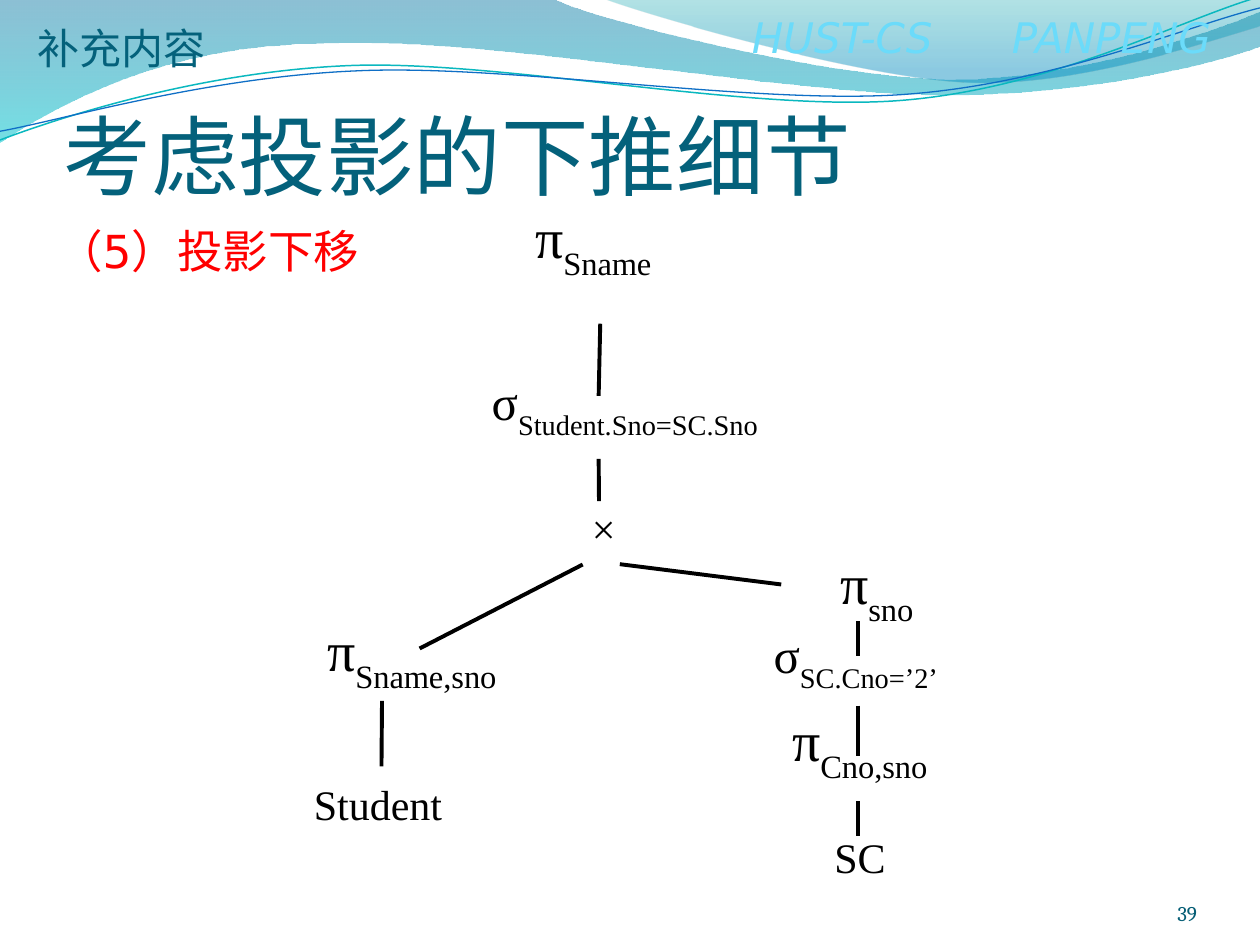
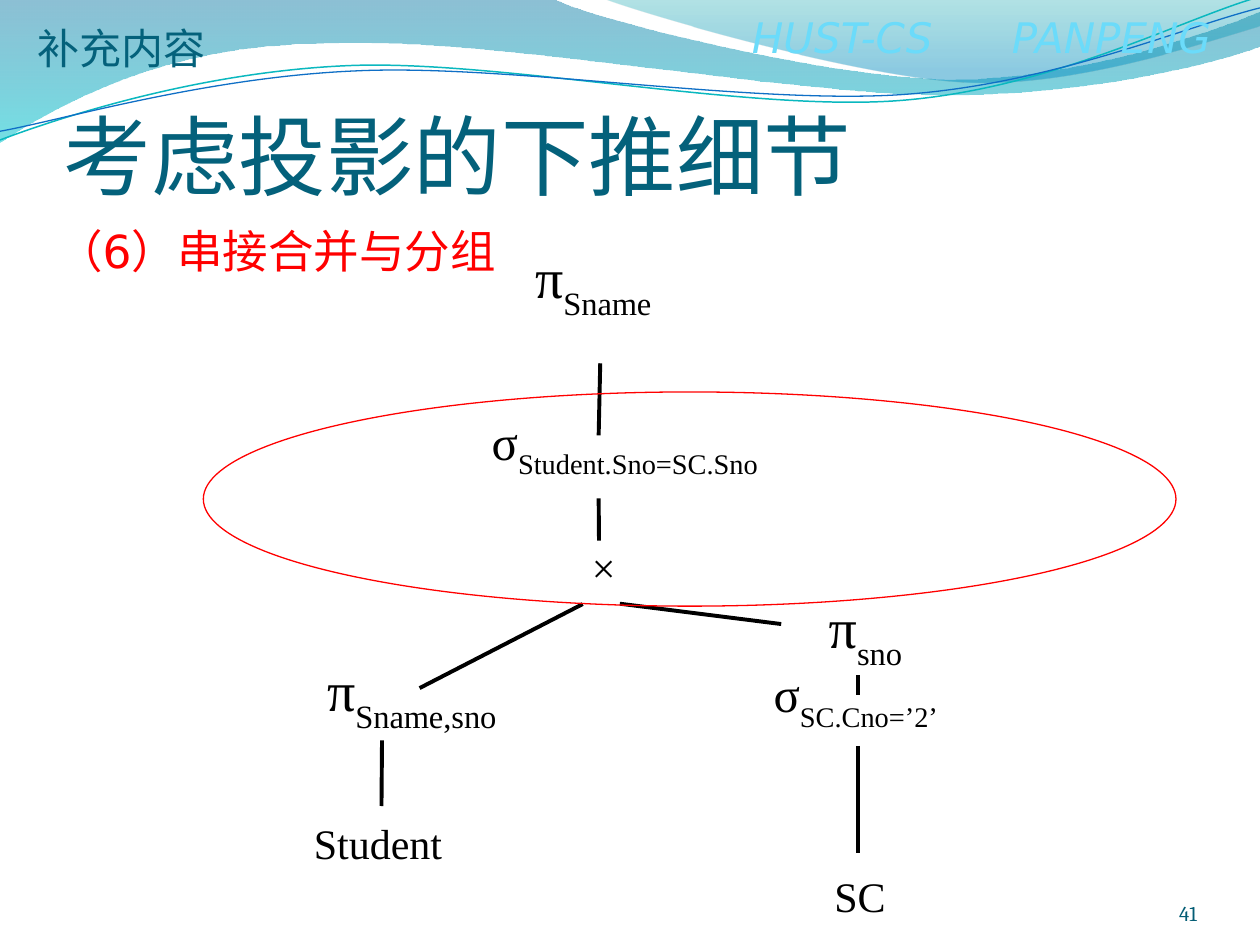
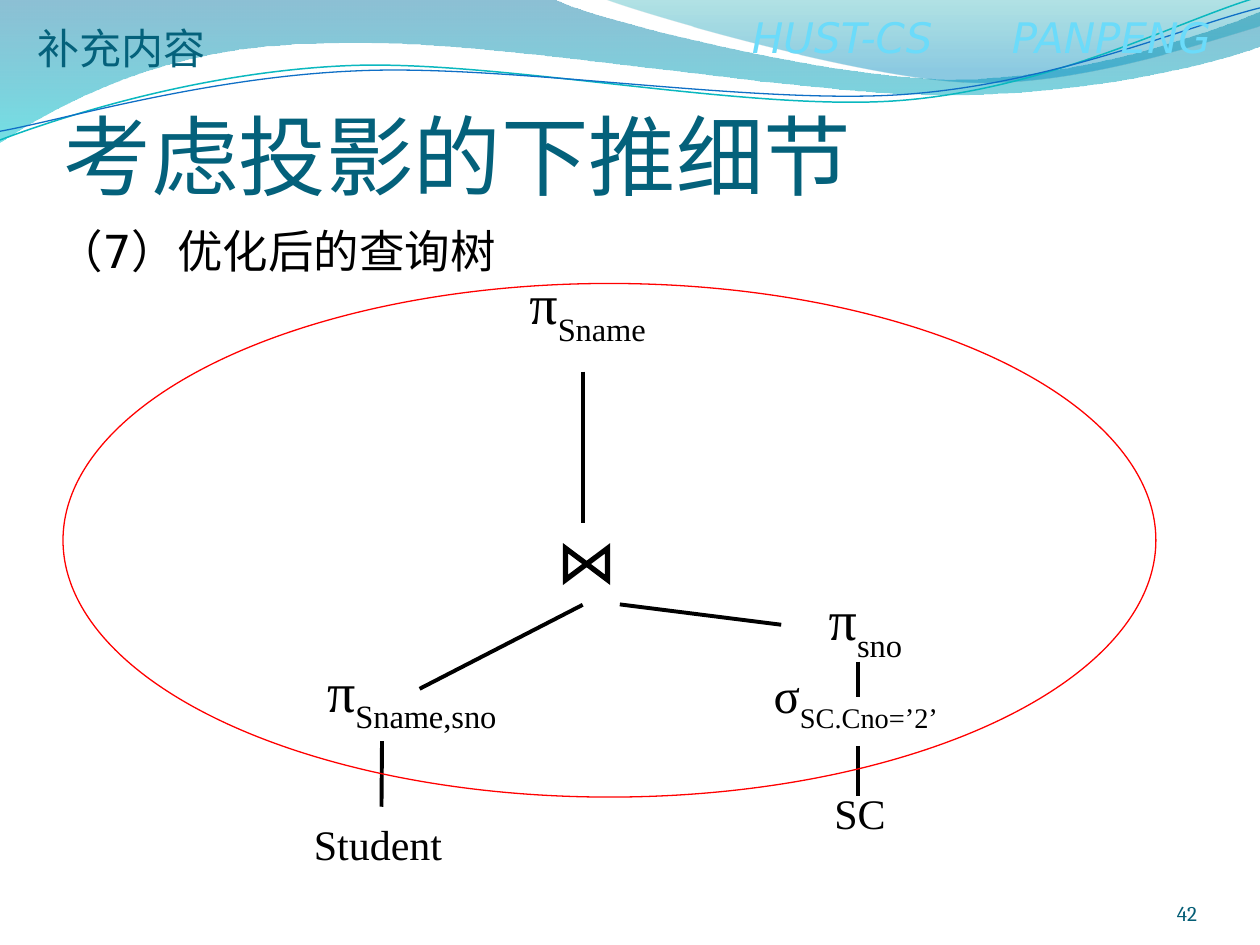
from lxml.etree import SubElement
from pptx import Presentation
from pptx.dml.color import RGBColor
from pptx.enum.shapes import MSO_CONNECTOR, MSO_SHAPE
from pptx.enum.text import MSO_ANCHOR, PP_ALIGN
from pptx.oxml.ns import qn
from pptx.util import Pt

TEAL = RGBColor(0x04, 0x61, 0x7B)
DARK_TEAL = RGBColor(0x04, 0x5D, 0x75)
SKY = RGBColor(0x6B, 0xDB, 0xFA)
RED = RGBColor(0xFF, 0x00, 0x00)
BLACK = RGBColor(0x00, 0x00, 0x00)
DEEP_BLUE = RGBColor(0x00, 0x74, 0xA1)
CYAN = RGBColor(0x00, 0xC6, 0xCF)
SEA_GREEN = RGBColor(0x00, 0xA1, 0xA9)
BLUE = RGBColor(0x00, 0x8B, 0xBF)
LINE_GREEN = RGBColor(0x0A, 0xB8, 0xBF)
LINE_BLUE = RGBColor(0x0F, 0x6F, 0xC6)

CHINESE_FONT = "Noto Sans CJK SC"
SANS_FONT = "DejaVu Sans"
TREE_FONT = "Times New Roman"
OPERATOR_SIZES = {"π": 32, "σ": 28}

BANDS = [
    ([(0, -0.5), (317, -0.5), (343, 12, 478, 45, 546, 45),
      (614, 45, 690, 19, 720, 6.5), (720.5, 26),
      (708, 32, 626, 55, 537, 54), (448, 54, 275, 20, 185, 24.5),
      (93, 25, 33, 60, -0.5, 81.5)],
     [(0, DEEP_BLUE, 45), (1, CYAN, 55)]),
    ([(345, -0.5), (366.5, 8, 491, 44.5, 553.5, 47),
      (616, 49.5, 692, 23, 720, 15), (720, 0)],
     [(0, SEA_GREEN, 30), (0.8, BLUE, 45)]),
]
WAVES = [
    ([(0, 80), (34.5, 67, 114, 41, 199.5, 37.5),
      (284.5, 34, 427, 64, 513.5, 57.5), (600, 51, 675.5, 11, 718.5, -1.5)],
     LINE_GREEN, 0.85),
    ([(0, 75), (34, 69, 118, 44, 204, 40.5),
      (290, 36.5, 430, 60, 516, 54), (602, 48, 677.5, 15, 720, 4.5)],
     LINE_BLUE, 0.75),
]

BRANCH_NODES = [
    ("σ", "SC.Cno=’2’", 408, 358.6, 168, 36),
    ("Student", "", 170, 438, 92, 42),
    ("π", "Sname,sno", 177.3, 347.6, 122, 54),
]
BRANCH_EDGES = [
    (333, 322.6, 239.8, 370.6),
    (354.2, 322.4, 446.4, 334),
    (218.3, 400.5, 218, 438),
]
PRODUCT_NODES = [
    ("π", "Sname", 288, 111.5, 108, 54),
    ("σ", "Student.Sno=SC.Sno", 258, 208.2, 204, 48),
    ("× ", "", 312, 280.5, 72, 42),
]
PRODUCT_EDGES = [(342.1, 262.2, 342.3, 286.4), (343, 185, 342.1, 226.2)]
RIGHT_AXIS = 490.3

SLIDES = [
    dict(number="39", heading="（5）投影下移", color=RED, drop=0, product=True,
         nodes=[("π", "Cno,sno", 436.3, 419.5, 116, 13),
                ("π", "sno", 446, 325, 116, 22.3),
                ("SC", "", 446.4, 465.5, 90, 48)],
         right_edges=[(355, 375), (403.2, 432), (458, 478)],
         edges=[], ellipse=None),
    dict(number="41", heading="（6）串接合并与分组", color=RED, drop=22.6, product=True,
         nodes=[("π", "sno", 439.5, 354.8, 116, 13),
                ("SC", "", 446.4, 487.9, 90, 48)],
         right_edges=[(386, 397.4), (426.2, 487.4)],
         edges=[], ellipse=(116.2, 224, 555.8, 122.4)),
    dict(number="42", heading="（7）优化后的查询树", color=BLACK, drop=23, product=False,
         nodes=[("π", "Sname", 284.8, 149, 108, 54),
                ("π", "sno", 439.5, 345.4, 116, 23),
                ("SC", "", 446.4, 440.3, 90, 48)],
         right_edges=[(378, 398.2), (426.2, 455)],
         edges=[(333, 212.4, 333, 298.8)], ellipse=(36, 162, 624.5, 293.5)),
]


def add_text(page, text, frame, size, font, color, subscript="", italic=False,
             align=PP_ALIGN.LEFT, anchor=MSO_ANCHOR.TOP,
             insets=(7.2, 3.6, 7.2, 3.6), wrap=True, tab=None):
    box = page.shapes.add_textbox(*map(Pt, frame))
    body = box.text_frame
    body.word_wrap = wrap
    body.vertical_anchor = anchor
    (body.margin_left, body.margin_top,
     body.margin_right, body.margin_bottom) = map(Pt, insets)
    para = body.paragraphs[0]
    para.alignment = align
    if tab:
        stops = SubElement(para._p.get_or_add_pPr(), qn("a:tabLst"))
        SubElement(stops, qn("a:tab"), pos=str(Pt(tab)), algn="l")
    parts = [(text, size, 0)]
    if subscript:
        parts += [(subscript, size, -30000), (" ", 24, 0)]
    for words, points, baseline in parts:
        span = para.add_run()
        span.text = words
        span.font.size = Pt(points)
        span.font.name = font
        span.font.italic = italic
        span.font.color.rgb = color
        properties = span.font._element
        SubElement(properties, qn("a:ea"), typeface=CHINESE_FONT)
        if baseline:
            properties.set("baseline", str(baseline))


def add_curve(page, segments, close):
    points = [(Pt(segment[i]), Pt(segment[i + 1]))
              for segment in segments for i in range(0, len(segment), 2)]
    builder = page.shapes.build_freeform(*points[0])
    builder.add_line_segments(points[1:], close=close)
    curve = builder.convert_to_shape()
    curve.shadow.inherit = False
    outline = next(curve.element.iter(qn("a:path")))
    steps = iter(outline.findall(qn("a:lnTo")))
    for segment in segments[1:]:
        bend = next(steps)
        if len(segment) == 6:
            bend.tag = qn("a:cubicBezTo")
            for _ in range(2):
                step = next(steps)
                bend.append(step[0])
                outline.remove(step)
    return curve


deck = Presentation()
deck.slide_width, deck.slide_height = Pt(720), Pt(540)
pages = [deck.slides.add_slide(deck.slide_layouts[6]) for _ in SLIDES]

first_page = pages[0]
for outline, stops in BANDS:
    band = add_curve(first_page, outline, True)
    band.line.fill.background()
    band.fill.gradient()
    band.fill.gradient_angle = 270
    for stop, (position, color, opacity) in zip(band.fill.gradient_stops, stops):
        stop.position = position
        stop.color.rgb = color
    for tint, (position, color, opacity) in zip(band.element.iter(qn("a:gs")), stops):
        SubElement(tint[0], qn("a:alpha"), val=str(opacity * 1000))
for outline, color, width in WAVES:
    wave = add_curve(first_page, outline, False)
    wave.fill.background()
    wave.line.color.rgb = color
    wave.line.width = Pt(width)
add_text(first_page, "HUST-CS\tPANPENG", (422.6, 2.9, 291.6, 36), 24, SANS_FONT, SKY,
         italic=True, tab=148.5)
for identifier, shape in enumerate(list(first_page.shapes), 20):
    shape.element.nvSpPr.cNvPr.set("id", str(identifier))
    deck.slide_master.shapes.element.append(shape.element)

for page, content in zip(pages, SLIDES):
    add_text(page, "考虑投影的下推细节", (36.5, 55.4, 648, 62.9), 50, "Calibri", TEAL,
             anchor=MSO_ANCHOR.BOTTOM, insets=(0, 3.6, 0, 0))
    add_text(page, content["number"], (624, 500.4, 60, 28.8), 12, "Cambria", DARK_TEAL,
             align=PP_ALIGN.RIGHT, anchor=MSO_ANCHOR.BOTTOM, insets=(0, 0, 0, 0))
    add_text(page, content["heading"], (25.6, 123.8, 648, 38.2), 26, SANS_FONT,
             content["color"])

    shared_nodes = BRANCH_NODES + (PRODUCT_NODES if content["product"] else [])
    shared_edges = BRANCH_EDGES + (PRODUCT_EDGES if content["product"] else [])
    drop = content["drop"]
    nodes = content["nodes"] + [
        (text, subscript, left, top + drop, width, height)
        for text, subscript, left, top, width, height in shared_nodes]
    edges = content["edges"] + [
        (x1, y1 + drop, x2, y2 + drop) for x1, y1, x2, y2 in shared_edges]
    edges += [(RIGHT_AXIS, top, RIGHT_AXIS, bottom)
              for top, bottom in content["right_edges"]]

    for text, subscript, *frame in nodes:
        add_text(page, text, frame, OPERATOR_SIZES.get(text, 24), TREE_FONT, BLACK,
                 subscript=subscript, align=PP_ALIGN.CENTER,
                 anchor=MSO_ANCHOR.MIDDLE, wrap=False)
    for ends in edges:
        edge = page.shapes.add_connector(MSO_CONNECTOR.STRAIGHT, *map(Pt, ends))
        edge.line.color.rgb = BLACK
        edge.line.width = Pt(2.25)
        SubElement(edge.element.spPr, qn("a:effectLst"))

    marks = []
    if not content["product"]:
        marks.append((MSO_SHAPE.FLOWCHART_COLLATE, (326.2, 310.3, 18, 24), 90, BLACK, 3))
    if content["ellipse"]:
        marks.append((MSO_SHAPE.OVAL, content["ellipse"], 0, RED, 0.75))
    for kind, frame, rotation, color, width in marks:
        mark = page.shapes.add_shape(kind, *map(Pt, frame))
        mark.shadow.inherit = False
        mark.rotation = rotation
        mark.fill.background()
        mark.line.color.rgb = color
        mark.line.width = Pt(width)
        SubElement(mark.element.spPr.find(qn("a:ln")), qn("a:miter"), lim="800000")

    add_text(page, "补充内容", (14.4, 9.4, 111.6, 36), 24, CHINESE_FONT, TEAL, wrap=False)

deck.save("out.pptx")
